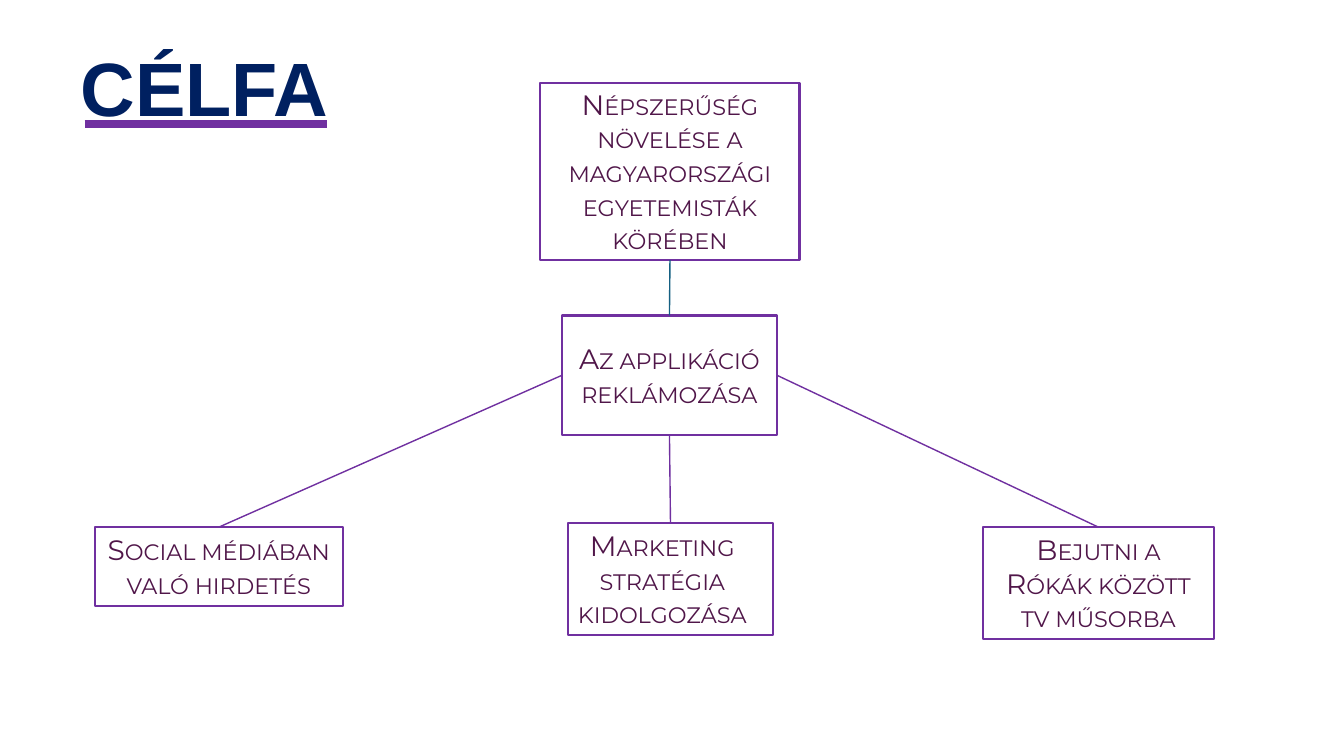
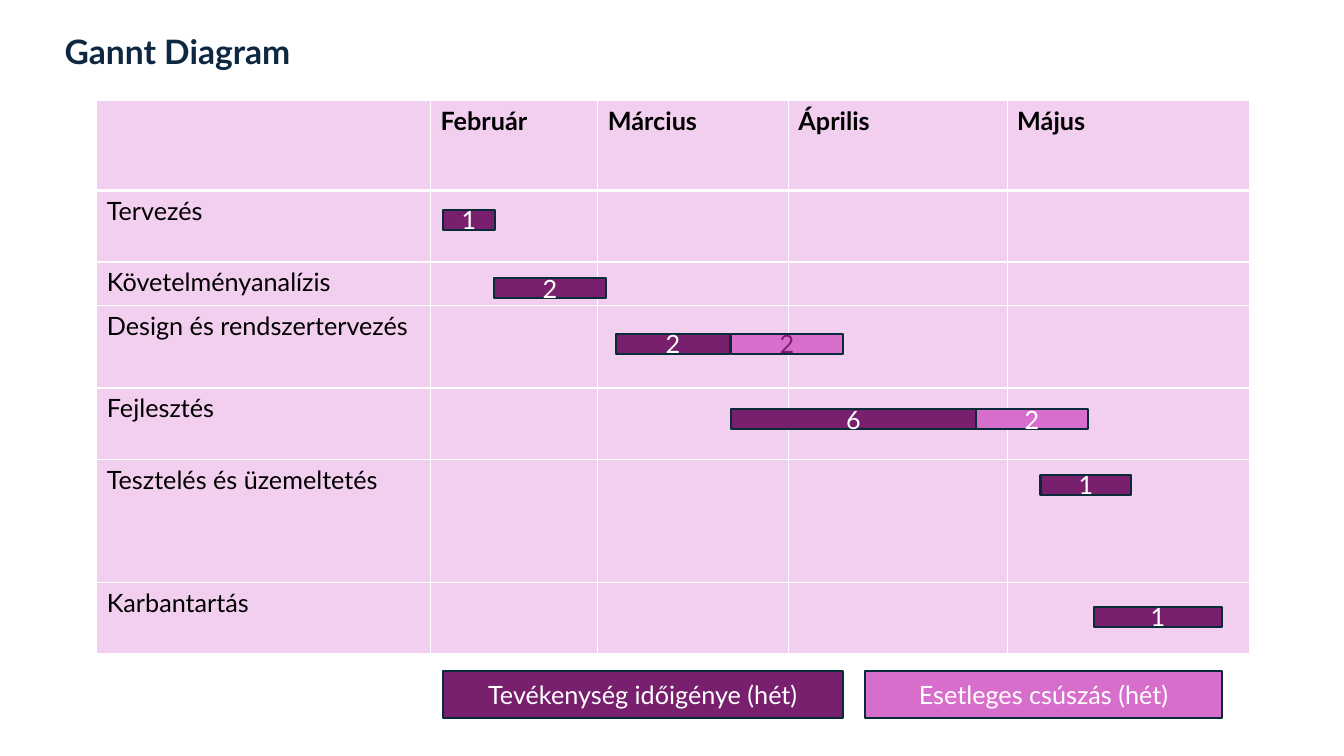
from dataclasses import dataclass
from itertools import accumulate
from lxml.etree import SubElement
from pptx import Presentation
from pptx.dml.color import RGBColor
from pptx.enum.shapes import MSO_CONNECTOR, MSO_SHAPE
from pptx.enum.text import MSO_ANCHOR, PP_ALIGN
from pptx.oxml.ns import qn
from pptx.util import Inches, Pt


@dataclass(frozen=True)
class Theme:
    violet: str = "7030A0"
    plum: str = "501649"
    navy: str = "002060"
    ink: str = "0E2841"
    teal: str = "156082"
    edge: str = "092A39"
    work: str = "78206E"
    slip: str = "D86ECC"
    cell: str = "F2CFEE"
    white: str = "FFFFFF"
    black: str = "000000"
    tree_font: str = "Montserrat"
    gantt_font: str = "Lato"
    head_font: str = "Arial"
    big: int = 54
    head: int = 24
    node: int = 20
    body: int = 18


T = Theme()
TOP, LEFT, BOTTOM, RIGHT = range(4)

NODES = {
    "goal": ("Népszerűség növelése a magyarországi egyetemisták körében",
             (5.36, 0.82, 2.57, 1.76), (0.1, 0.1)),
    "advert": ("Az applikáció reklámozása", (5.57, 3.13, 2.14, 1.19), (0.1, 0.1)),
    "social": ("Social médiában való hirdetés", (0.94, 5.23, 2.46, 0.78), (0.03, 0.03)),
    "strategy": ("Marketing stratégia kidolgozása", (5.63, 5.19, 2.04, 1.11), (0.03, 0.19)),
    "show": ("Bejutni a Rókák között tv műsorba", (9.75, 5.23, 2.29, 1.11), (0.1, 0.1)),
}
LINKS = [
    ("goal", BOTTOM, "advert", TOP, T.teal),
    ("advert", BOTTOM, "strategy", TOP, T.violet),
    ("advert", LEFT, "social", TOP, T.violet),
    ("advert", RIGHT, "show", TOP, T.violet),
]

MONTHS = ["Február", "Március", "Április", "Május"]
COLS = [3.31, 1.66, 1.89, 2.17, 2.4]
HEAD_ROW = 0.89
TABLE_LEFT, TABLE_TOP = 0.96, 1
BAR_H = 0.2
TASKS = [
    ("Tervezés", 0.71, 0.19, [(4.39, 0.52, "1", T.work, T.white)]),
    ("Követelményanalízis", 0.43, 0.16, [(4.9, 1.11, "2", T.work, T.white)]),
    ("Design és rendszertervezés", 0.82, 0.28,
     [(6.11, 1.13, "2", T.work, T.white), (7.25, 1.11, "2", T.slip, T.work)]),
    ("Fejlesztés", 0.71, 0.21,
     [(7.25, 2.43, "6", T.work, T.white), (9.68, 1.11, "2", T.slip, T.white)]),
    ("Tesztelés és üzemeltetés", 1.22, 0.15, [(10.32, 0.9, "1", T.work, T.white)]),
    ("Karbantartás", 0.71, 0.24, [(10.85, 1.27, "1", T.work, T.white)]),
]
LEGEND_TOP, LEGEND_H = 6.66, 0.46
LEGEND = [
    (4.39, 3.97, "Tevékenység időigénye (hét)", T.work),
    (8.58, 3.54, "Esetleges csúszás (hét)", T.slip),
]


def rgb(color):
    return RGBColor.from_string(color)


def style(p, font, size, color, bold=False):
    for r in p.runs:
        r.font.name = font
        r.font.size = Pt(size)
        r.font.bold = bold
        r.font.color.rgb = rgb(color)


def add_slide(prs, title, box, font, size, color):
    s = prs.slides.add_slide(prs.slide_layouts[5])
    sp = s.shapes.title
    sp.left, sp.top, sp.width, sp.height = map(Inches, box)
    tf = sp.text_frame
    tf.text = title
    tf.vertical_anchor = MSO_ANCHOR.TOP
    tf.paragraphs[0].alignment = PP_ALIGN.LEFT
    style(tf.paragraphs[0], font, size, color, True)
    return s


def add_box(s, box, text, font, size, color, line, fill=None, insets=(0, 0)):
    sp = s.shapes.add_shape(MSO_SHAPE.RECTANGLE, *map(Inches, box))
    sp.shadow.inherit = False
    if fill:
        sp.fill.solid()
        sp.fill.fore_color.rgb = rgb(fill)
    else:
        sp.fill.background()
    sp.line.color.rgb = rgb(line)
    sp.line.width = Pt(1.5)
    tf = sp.text_frame
    tf.text = text
    tf.word_wrap = True
    tf.vertical_anchor = MSO_ANCHOR.MIDDLE
    tf.margin_left, tf.margin_right = map(Inches, insets)
    tf.margin_top = tf.margin_bottom = 0
    p = tf.paragraphs[0]
    p.alignment = PP_ALIGN.CENTER
    style(p, font, size, color)
    return sp


def add_line(s, color, width, ends=(0, 0, 0, 0)):
    cn = s.shapes.add_connector(MSO_CONNECTOR.STRAIGHT, *map(Inches, ends))
    cn.line.color.rgb = rgb(color)
    cn.line.width = Pt(width)
    SubElement(cn._element.spPr, qn("a:effectLst"))
    return cn


def set_borders(cell, widths):
    tcPr = cell._tc.get_or_add_tcPr()
    for side, width in widths.items():
        ln = SubElement(tcPr, qn(f"a:ln{side}"), w=str(Pt(width)))
        SubElement(SubElement(ln, qn("a:solidFill")), qn("a:srgbClr"), val=T.white)


def build_tree(prs):
    s = add_slide(prs, "CÉLFA", (0.7, 0.36, 2.95, 1.01), T.head_font, T.big, T.navy)
    add_line(s, T.violet, 6.25, (0.84, 1.23, 3.24, 1.23))
    boxes = {}
    for name, (text, box, insets) in NODES.items():
        sp = add_box(s, box, text, T.tree_font, T.node, T.plum, T.violet, insets=insets)
        for r in sp.text_frame.paragraphs[0].runs:
            r.font._element.set("cap", "small")
        boxes[name] = sp
    for start, start_side, end, end_side, color in LINKS:
        cn = add_line(s, color, 1)
        cn.begin_connect(boxes[start], start_side)
        cn.end_connect(boxes[end], end_side)


def build_gantt(prs):
    s = add_slide(prs, "Gannt Diagram", (0.54, 0.26, 5.29, 0.5),
                  T.gantt_font, T.head, T.ink)
    heights = [HEAD_ROW] + [task[1] for task in TASKS]
    texts = [[""] + MONTHS] + [[task[0]] + [""] * len(MONTHS) for task in TASKS]
    size = (TABLE_LEFT, TABLE_TOP, sum(COLS), sum(heights))
    table = s.shapes.add_table(len(heights), len(COLS), *map(Inches, size)).table
    table.horz_banding = False
    for col, width in zip(table.columns, COLS):
        col.width = Inches(width)
    for i, (row, height) in enumerate(zip(table.rows, heights)):
        row.height = Inches(height)
        for cell, text in zip(row.cells, texts[i]):
            set_borders(cell, {"L": 1, "R": 1, "T": 3 if i == 1 else 1,
                               "B": 3 if i == 0 else 1})
            cell.fill.solid()
            cell.fill.fore_color.rgb = rgb(T.cell)
            cell.text = text
            style(cell.text_frame.paragraphs[0], T.gantt_font, T.body, T.black, i == 0)

    tops = accumulate(heights[:-1], initial=TABLE_TOP)
    next(tops)
    for top, (_, _, offset, bars) in zip(tops, TASKS):
        for left, width, weeks, fill, color in bars:
            add_box(s, (left, top + offset, width, BAR_H), weeks,
                    T.gantt_font, T.body, color, T.edge, fill)
    for left, width, text, fill in LEGEND:
        add_box(s, (left, LEGEND_TOP, width, LEGEND_H), text,
                T.gantt_font, T.body, T.white, T.edge, fill)


def main():
    prs = Presentation()
    prs.slide_width, prs.slide_height = Inches(13.33), Inches(7.5)
    build_tree(prs)
    build_gantt(prs)
    prs.save("out.pptx")


if __name__ == "__main__":
    main()
